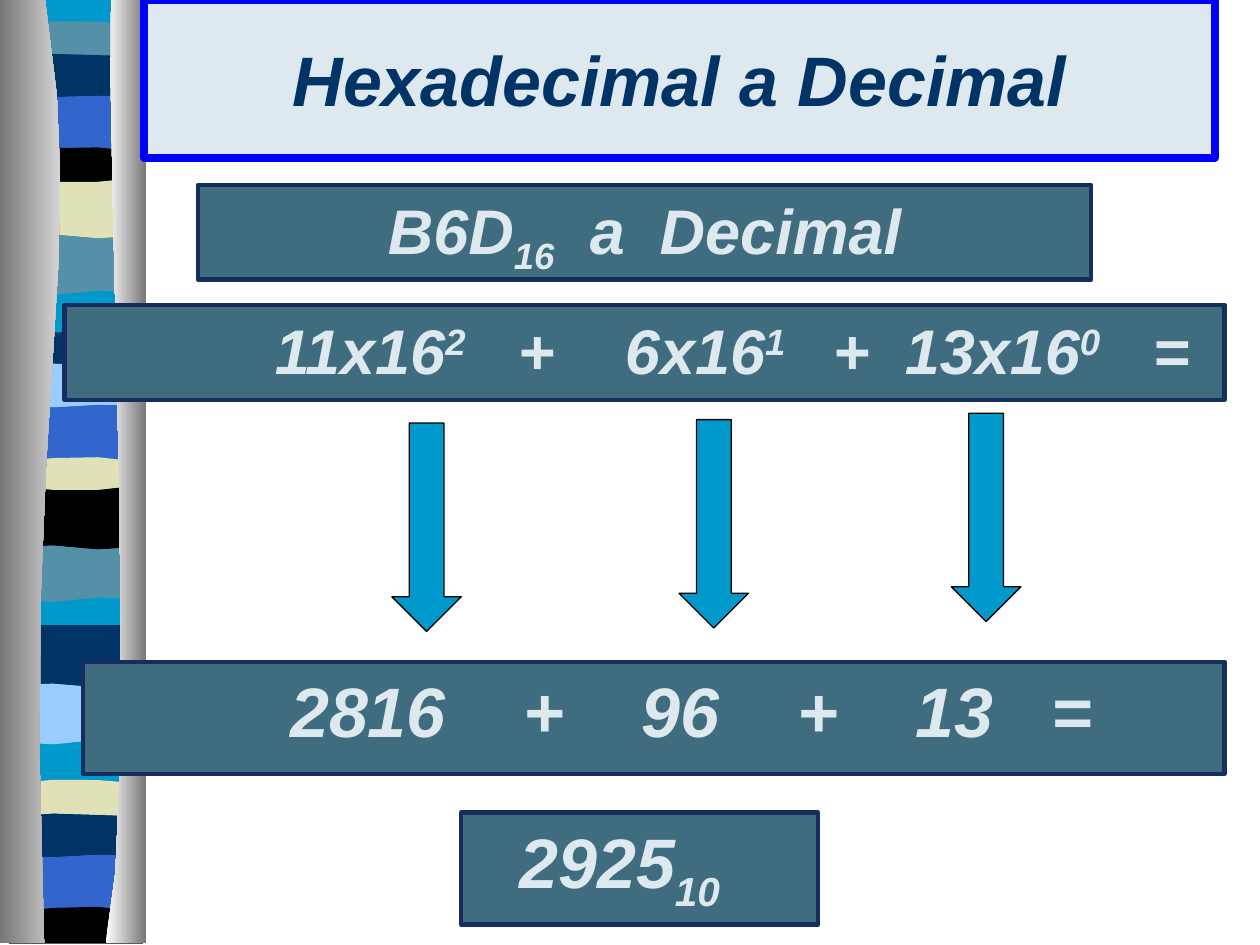
import pptx
import pptx.dml.color
import pptx.enum.shapes
import pptx.enum.text
import pptx.util
from lxml import etree

Cm = pptx.util.Cm
Pt = pptx.util.Pt
color = pptx.dml.color.RGBColor.from_string
PALE, DARK_BLUE, TEAL, CYAN = "DDE9EE", "003366", "3F6C7E", "0099CC"
STEEL, SAND, BLUE, SKY, BLACK = "5490A8", "E1E1B7", "3366CC", "99CCFF", "000000"


def bezier(start, control_1, control_2, end, steps):
    """Return points along a cubic curve."""
    points = []
    for step in range(steps + 1):
        t = step / steps
        weights = ((1 - t) ** 3, 3 * t * (1 - t) ** 2, 3 * t * t * (1 - t), t ** 3)
        points.append(tuple(
            sum(w * value for w, value in zip(weights, axis))
            for axis in zip(start, control_1, control_2, end)
        ))
    return points


def write_text(shape, runs, size, font_color, tab_stops=(), centered=False):
    """Write (text, baseline percent) runs as one bold italic paragraph."""
    paragraph = shape.text_frame.paragraphs[0]
    align = pptx.enum.text.PP_ALIGN
    paragraph.alignment = align.CENTER if centered else align.LEFT
    if tab_stops:
        properties = paragraph._p.get_or_add_pPr()
        tab_list = etree.SubElement(properties, pptx.oxml.ns.qn("a:tabLst"))
        for stop in tab_stops:
            etree.SubElement(tab_list, pptx.oxml.ns.qn("a:tab"),
                             pos=str(int(Cm(stop))), algn="l")
    for text, baseline in runs:
        run = paragraph.add_run()
        run.text = text
        run.font.name = "Arial"
        run.font.size = Pt(size)
        run.font.bold = run.font.italic = True
        run.font.color.rgb = color(font_color)
        if baseline:
            run.font._element.set("baseline", str(baseline * 1000))


presentation = pptx.Presentation()
presentation.slide_width = Cm(25.4)
presentation.slide_height = Cm(19.05)
slide = presentation.slides.add_slide(presentation.slide_layouts[5])

# Striped ribbon: each band runs from its own top edge to the next one's.
# An edge holds the heights of its four curve points, left to right.
# Where the fill is None, the cyan ground shows.
ribbon_left, ribbon_right, bottom = 0.18, 2.88, 19.02
bands = [
    (STEEL, (0.51, 0.38, 0.41, 0.51)),
    (DARK_BLUE, (1.14, 1.02, 1.14, 1.14)),
    (BLUE, (1.93, 2.01, 1.9, 1.93)),
    (BLACK, (3.07, 2.97, 2.9, 3.07)),
    (SAND, (3.58, 3.71, 3.71, 3.58)),
    (STEEL, (4.75, 4.6, 4.95, 4.75)),
    (None, (5.92, 6.1, 5.69, 5.92)),
    (DARK_BLUE, (6.78, 6.65, 6.68, 6.78)),
    (SKY, (7.39, 7.26, 7.39, 7.39)),
    (BLUE, (8.18, 8.31, 8.08, 8.18)),
    (SAND, (9.32, 9.22, 9.14, 9.32)),
    (BLACK, (9.78, 9.93, 9.93, 9.78)),
    (STEEL, (11.02, 10.87, 11.23, 11.02)),
    (None, (12.09, 12.29, 11.89, 12.09)),
    (DARK_BLUE, (12.6, 12.6, 12.6, 12.6)),
    (SKY, (13.79, 13.67, 14, 13.79)),
    (None, (14.96, 15.16, 14.76, 14.96)),
    (SAND, (15.8, 15.67, 15.7, 15.8)),
    (DARK_BLUE, (16.46, 16.33, 16.46, 16.46)),
    (BLUE, (17.25, 17.37, 17.15, 17.25)),
    (BLACK, (18.39, 18.29, 18.19, 18.39)),
]
third = (ribbon_right - ribbon_left) / 3
edges = [
    bezier(*[(ribbon_left + third * i, height) for i, height in enumerate(heights)],
           steps=3)
    for _, heights in bands
]
base = [(ribbon_left, bottom), (ribbon_right, bottom)]
edges.append(base)
outlines = [(base + [(ribbon_right, 0), (ribbon_left, 0)], [CYAN])]
outlines += [
    (top + lower[::-1], [fill])
    for (fill, _), top, lower in zip(bands, edges, edges[1:]) if fill
]

# Shaded columns on both sides of the ribbon
left_curve = bezier((0.91, 0), (1.8, 5.49), (0.43, 7.52), (0.89, bottom), steps=8)
right_curve = bezier((2.24, 0), (2.13, 3.18), (2.82, 16.41), (2.13, bottom), steps=8)
outlines += [
    (left_curve + [(0, bottom), (0, 0)], ["767676", "D5D5D5"]),
    (right_curve + [(2.95, bottom), (2.95, 0)], ["FFFFFF", "767676"]),
]

for points, fills in outlines:
    vertices = [(Cm(x), Cm(y)) for x, y in points]
    builder = slide.shapes.build_freeform(*vertices[0])
    builder.add_line_segments(vertices[1:], close=True)
    shape = builder.convert_to_shape()
    shape.shadow.inherit = False
    shape.line.fill.background()
    if len(fills) == 1:
        shape.fill.solid()
        shape.fill.fore_color.rgb = color(fills[0])
    else:
        shape.fill.gradient()
        shape.fill.gradient_angle = 0
        for stop, fill in zip(shape.fill.gradient_stops, fills):
            stop.color.rgb = color(fill)

# Title, in front of the columns
title = slide.shapes.title
title.element.getparent().append(title.element)
title.left, title.top, title.width, title.height = Cm(2.9), Cm(0), Cm(21.59), Cm(3.18)
title.fill.solid()
title.fill.fore_color.rgb = color(PALE)
title.line.color.rgb = color("0000FF")
title.line.width = Pt(4.5)
title.text_frame.vertical_anchor = pptx.enum.text.MSO_ANCHOR.MIDDLE
write_text(title, [("Hexadecimal a Decimal", 0)], 40, DARK_BLUE, centered=True)

# Steps of the conversion: place, size, tab stops, runs
steps = [
    ((3.99, 3.73, 18.01, 1.91), 36, (3.58, 7.65, 9.06),
     [("\tB6D", 0), ("16", -25), ("\ta\tDecimal", 0)]),
    ((1.3, 6.15, 23.39, 1.91), 36, (3.99, 8.89, 11.05, 15.24, 16.69, 21.69),
     [("\t11x16", 0), ("2", 30), ("\t+\t6x16", 0), ("1", 30),
      ("\t+\t13x16", 0), ("0", 30), ("\t=", 0)]),
    ((1.68, 13.34, 23.01, 2.26), 40, (3.92, 8.63, 11.01, 14.14, 16.52, 19.26),
     [("\t2816\t+\t96\t+\t13\t=", 0)]),
    ((9.3, 16.38, 7.19, 2.26), 40, (0.92,), [("\t2925", 0), ("10", -25)]),
]
for place, size, tab_stops, runs in steps:
    box = slide.shapes.add_shape(
        pptx.enum.shapes.MSO_SHAPE.RECTANGLE, *[Cm(value) for value in place])
    box.shadow.inherit = False
    box.fill.solid()
    box.fill.fore_color.rgb = color(TEAL)
    box.line.color.rgb = color("162E5D")
    box.line.width = Pt(2.5)
    box.text_frame.word_wrap = True
    box.text_frame.vertical_anchor = pptx.enum.text.MSO_ANCHOR.TOP
    write_text(box, runs, size, PALE, tab_stops)

# Arrows from each term to its value
for left, top in [(7.9, 8.53), (13.69, 8.46), (19.18, 8.33)]:
    arrow = slide.shapes.add_shape(
        pptx.enum.shapes.MSO_SHAPE.DOWN_ARROW, Cm(left), Cm(top), Cm(1.4), Cm(4.2))
    arrow.shadow.inherit = False
    arrow.fill.solid()
    arrow.fill.fore_color.rgb = color(CYAN)
    arrow.line.color.rgb = color(BLACK)
    arrow.line.width = Pt(0.75)

presentation.save("out.pptx")
